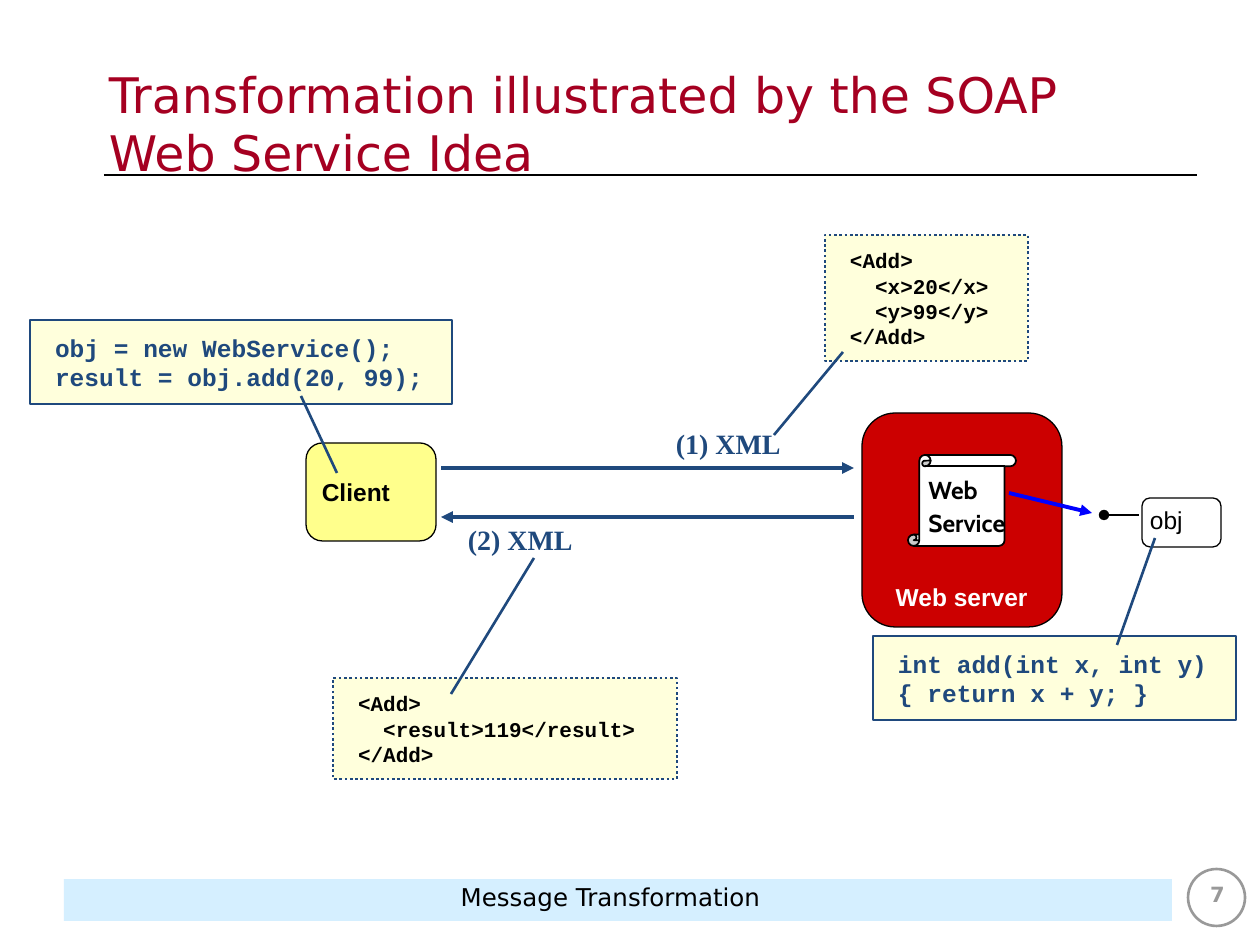
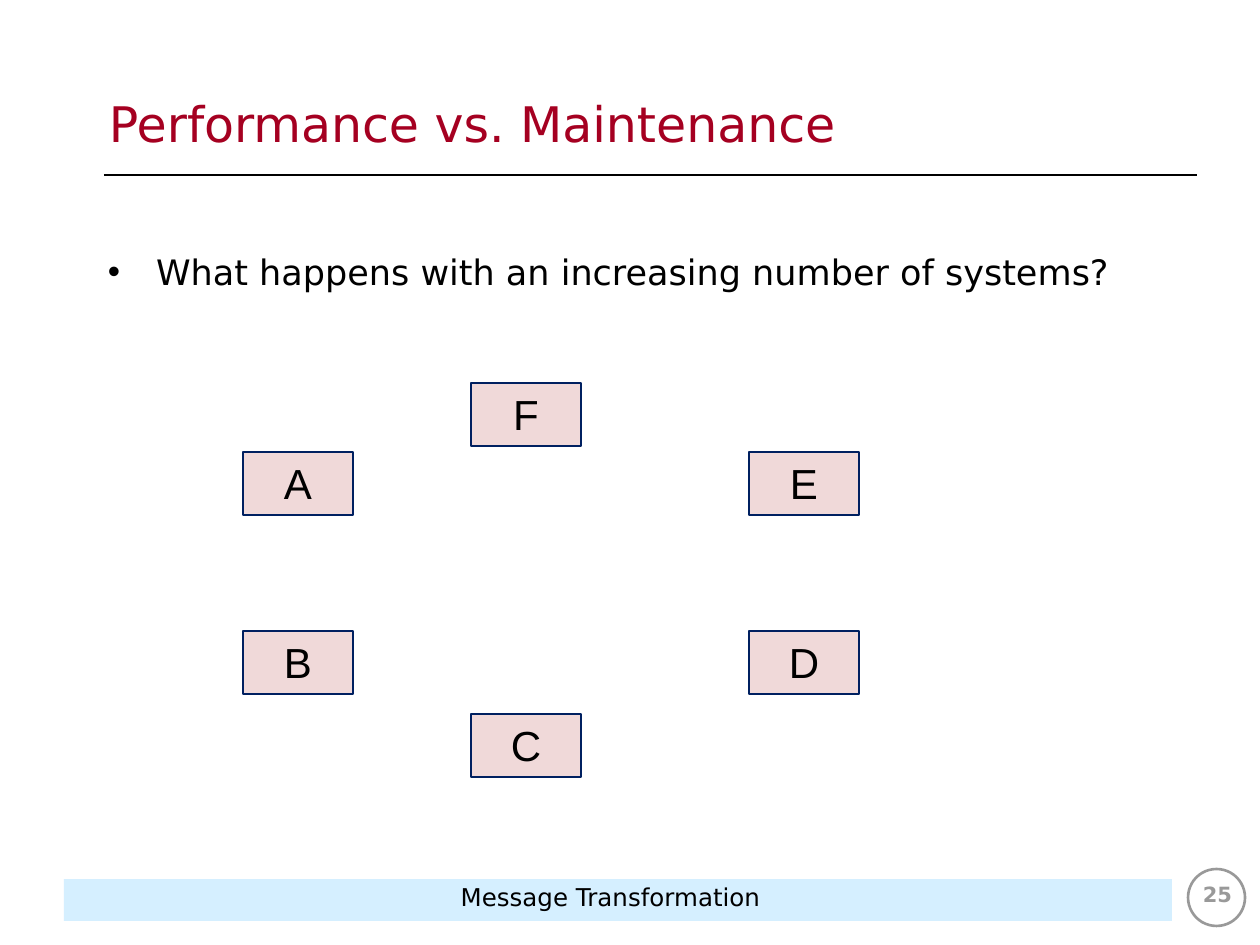
from lxml.etree import SubElement
from pptx import Presentation
from pptx.dml.color import RGBColor
from pptx.enum.dml import MSO_LINE
from pptx.enum.shapes import MSO_CONNECTOR, MSO_SHAPE
from pptx.enum.text import MSO_ANCHOR, MSO_AUTO_SIZE, PP_ALIGN
from pptx.oxml.ns import qn
from pptx.util import Pt

SCALE = 914400 / 126
SLIDE_W, SLIDE_H = 1260, 945
COLORS = {
    "title": "A50021", "black": "000000", "white": "FFFFFF", "grey": "999999",
    "band": "CCECFF", "navy": "1F497D", "note": "FFFFDC", "client": "FFFF8C",
    "server": "CC0000", "call": "0000FF", "system": "F0D9D9", "system_edge": "002060",
}
FONTS = {
    "title": dict(name="DejaVu Sans", size=Pt(28), color="title"),
    "body": dict(name="DejaVu Sans", size=Pt(20), color="black"),
    "footer": dict(name="DejaVu Sans", size=Pt(14), color="black"),
    "number": dict(name="DejaVu Sans", size=Pt(12), bold=True, color="grey"),
    "node": dict(name="Arial", size=Pt(14), bold=True, color="black"),
    "server": dict(name="Arial", size=Pt(14), bold=True, color="white"),
    "scroll": dict(name="Cabin", size=Pt(14), bold=True, color="black"),
    "object": dict(name="Arial", size=Pt(14), color="black"),
    "label": dict(name="Times New Roman", size=Pt(16), bold=True, color="navy"),
    "code": dict(name="Courier New", size=Pt(14), bold=True, color="navy"),
    "xml": dict(name="Courier New", size=Pt(12), bold=True, color="black"),
    "system": dict(name="Arial", size=Pt(24), color="black"),
}
MARGINS = (13, 6, 13, 6)
NOTE_MARGINS = (25, 13, 25, 13)


def px(n):
    return round(n * SCALE)


def rgb(name):
    return RGBColor.from_string(COLORS[name])


def write(sp, text, font, margins=MARGINS, anchor=MSO_ANCHOR.TOP,
          align=PP_ALIGN.LEFT, wrap=True, after=0):
    """Fill a shape with one paragraph per line of text."""
    tf = sp.text_frame
    frame = dict(zip(("margin_left", "margin_top", "margin_right", "margin_bottom"),
                     map(px, margins)))
    frame.update(auto_size=MSO_AUTO_SIZE.NONE, word_wrap=wrap, vertical_anchor=anchor)
    for key, value in frame.items():
        setattr(tf, key, value)
    for i, line in enumerate(text.split("\n")):
        p = tf.add_paragraph() if i else tf.paragraphs[0]
        p.alignment = align
        p.space_before, p.space_after = Pt(0), Pt(after)
        r = p.add_run()
        r.text = line
        for key, value in FONTS[font].items():
            if key == "color":
                r.font.color.rgb = rgb(value)
            else:
                setattr(r.font, key, value)


def add_shape(s, kind, box, fill=None, line=None, width=0.75, dash=None):
    sp = s.shapes.add_shape(kind, *map(px, box))
    sp.shadow.inherit = False
    if fill:
        sp.fill.solid()
        sp.fill.fore_color.rgb = rgb(fill)
    else:
        sp.fill.background()
    if line:
        sp.line.color.rgb = rgb(line)
        sp.line.width = Pt(width)
        sp.line.dash_style = dash
    else:
        sp.line.fill.background()
    return sp


def add_text(s, box, text, font, **options):
    write(s.shapes.add_textbox(*map(px, box)), text, font, **options)


def add_line(s, start, end, color="navy", width=1.5, **ends):
    """Draw a straight line; ends may give headEnd or tailEnd a type."""
    c = s.shapes.add_connector(MSO_CONNECTOR.STRAIGHT, *map(px, (*start, *end)))
    c.line.color.rgb = rgb(color)
    c.line.width = Pt(width)
    for tag, kind in ends.items():
        SubElement(c.line._get_or_add_ln(), qn(f"a:{tag}"), type=kind)
    SubElement(c._element.spPr, qn("a:effectLst"))


def place(sp, box):
    sp.left, sp.top, sp.width, sp.height = map(px, box)


def new_slide(prs, layout, title, number):
    """Start a slide with title, rule, footer band and page number."""
    s = prs.slides.add_slide(prs.slide_layouts[layout])
    place(s.shapes.title, (96, 45, 1068, 156))
    write(s.shapes.title, title, "title", anchor=MSO_ANCHOR.MIDDLE)
    add_line(s, (104, 175), (1197, 175), "black", 0.75)
    footer(s, (64, 869, 1196, 70), number)
    return s


def footer(s, box, number):
    x, y, w, h = box
    add_shape(s, MSO_SHAPE.OVAL, (x + 1124, y, 57, 57), "white", "grey", 1.5)
    band = add_shape(s, MSO_SHAPE.RECTANGLE, (x, y + 10, 1108, 42), "band")
    color = band._element.spPr.find(qn("a:solidFill"))[0]
    SubElement(color, qn("a:alpha"), val="82000")
    add_text(s, (x + w - 85, y + 7, 85, h - 7), number, "number", align=PP_ALIGN.CENTER)
    add_text(s, (x + 328, y + 7, 437, h - 7), "Message Transformation", "footer",
             align=PP_ALIGN.CENTER)


def note(s, box, text, leader, xml=False):
    """Code note with a leader; leader ends are relative to the note."""
    x, y = box[:2]
    sp = add_shape(s, MSO_SHAPE.RECTANGLE, box, "note", "navy",
                   1.5 if xml else 1, MSO_LINE.ROUND_DOT if xml else None)
    write(sp, text, "xml" if xml else "code", NOTE_MARGINS)
    add_line(s, *((x + dx, y + dy) for dx, dy in leader))


def client(s, box):
    sp = add_shape(s, MSO_SHAPE.ROUNDED_RECTANGLE, box, "client", "black")
    write(sp, "Client", "node", (11, 6, 11, 6), MSO_ANCHOR.MIDDLE, wrap=False)


def web_server(s, box):
    x, y, w, h = box
    sp = add_shape(s, MSO_SHAPE.ROUNDED_RECTANGLE, box, "server", "black")
    write(sp, "Web server", "server", (24, 6, 11, 6), MSO_ANCHOR.BOTTOM, wrap=False)
    scroll = add_shape(s, MSO_SHAPE.VERTICAL_SCROLL, (x + 46, y + 42, 108, 91),
                       "white", "black", 1)
    write(scroll, "Web\nService", "scroll", (9, 9, 9, 4), wrap=False, after=1.8)
    add_line(s, (x + 147, y + 80), (x + 230, y + 100), "call", 2.25, tailEnd="triangle")


def service_object(s, box):
    x, y, w, h = box
    add_shape(s, MSO_SHAPE.ROUNDED_RECTANGLE, (x + 38, y, w - 38, h), line="black")
    add_line(s, (x, y + 17), (x + 35, y + 17), "black", 0.75, headEnd="oval")
    add_text(s, (x + 33, y + 1, 82, 43), "obj", "object")


def message(s, box, label, label_dx, label_dy, **ends):
    """Arrow along the top of the box, with its label beside it."""
    x, y, w, h = box
    add_line(s, (x, y), (x + w, y), width=2.25, **ends)
    add_text(s, (x + label_dx, y + label_dy, 160, h), label, "label")


def soap_slide(prs):
    s = new_slide(prs, 5, "Transformation illustrated by the SOAP Web Service Idea", "7")
    # Parties
    client(s, (306, 443, 130, 98))
    web_server(s, (862, 413, 200, 214))
    service_object(s, (1104, 498, 117, 49))
    # Messages
    message(s, (441, 517, 413, 47), "(2) XML", 14, 0, headEnd="triangle")
    message(s, (441, 468, 413, 47), "(1) XML", 222, -47, tailEnd="triangle")
    # Notes
    note(s, (333, 678, 344, 101), "<Add>\n  <result>119</result>\n</Add>",
         ((201, -120), (118, 16)), xml=True)
    note(s, (825, 235, 203, 126), "<Add>\n  <x>20</x>\n  <y>99</y>\n</Add>",
         ((18, 117), (-51, 200)), xml=True)
    note(s, (30, 320, 422, 84), "obj = new WebService();\nresult = obj.add(20, 99);",
         ((271, 76), (307, 153)))
    note(s, (873, 636, 363, 84), "int add(int x, int y)\n{ return x + y; }",
         ((282, -98), (244, 9)))


def bullet_list(sp, box, text):
    place(sp, box)
    write(sp, text, "body")
    for p in sp.text_frame.paragraphs:
        pPr = p._p.get_or_add_pPr()
        pPr.set("marL", str(px(48)))
        pPr.set("indent", str(-px(48)))
        color = SubElement(pPr, qn("a:buClr"))
        SubElement(color, qn("a:srgbClr"), val=COLORS["black"])
        SubElement(pPr, qn("a:buChar"), char="•")


def systems_ring(s, box):
    """Six systems: two outer columns, and one at the top and bottom between."""
    x, y, w, h = box
    box_w, box_h = 110, 63
    left, middle, right = 0, 228, w - box_w
    top, upper, lower, bottom = 0, 69, 248, h - box_h
    spots = {"A": (left, upper), "B": (left, lower), "C": (middle, bottom),
             "F": (middle, top), "E": (right, upper), "D": (right, lower)}
    for name, (dx, dy) in spots.items():
        sp = add_shape(s, MSO_SHAPE.RECTANGLE, (x + dx, y + dy, box_w, box_h),
                       "system", "system_edge")
        write(sp, name, "system", align=PP_ALIGN.CENTER)


def performance_slide(prs):
    s = new_slide(prs, 1, "Performance vs. Maintenance", "25")
    bullet_list(s.placeholders[1], (95, 244, 1071, 605),
                "What happens with an increasing number of systems?")
    systems_ring(s, (243, 383, 616, 394))


def main():
    prs = Presentation()
    prs.slide_width, prs.slide_height = px(SLIDE_W), px(SLIDE_H)
    soap_slide(prs)
    performance_slide(prs)
    prs.save("out.pptx")


if __name__ == "__main__":
    main()
